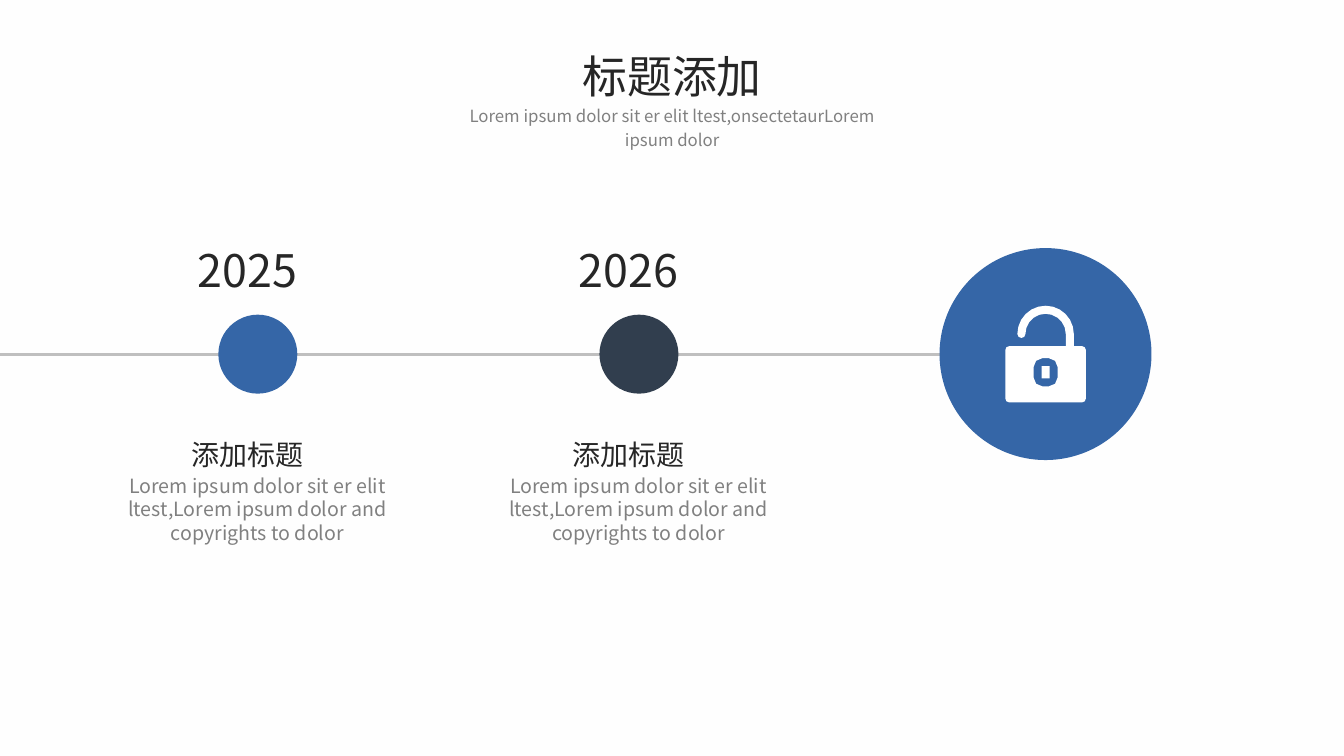
from math import cos, radians, sin

from lxml.etree import SubElement
from pptx import Presentation
from pptx.dml.color import RGBColor
from pptx.enum.shapes import MSO_CONNECTOR, MSO_SHAPE
from pptx.enum.text import MSO_ANCHOR, MSO_AUTO_SIZE, PP_ALIGN
from pptx.oxml.ns import qn
from pptx.util import Pt

FONT = "Noto Sans CJK SC"
MIST = RGBColor(0xF2, 0xF2, 0xF2)
WHITE = RGBColor(0xFF, 0xFF, 0xFF)
BLUE = RGBColor(0x35, 0x66, 0xA7)
NAVY = RGBColor(0x31, 0x3E, 0x4E)
RULE = RGBColor(0xBF, 0xBF, 0xBF)
INK = RGBColor(0x26, 0x26, 0x26)
GREY = RGBColor(0x80, 0x80, 0x80)

SLIDE_WIDTH, SLIDE_HEIGHT = 960, 540
AXIS_Y = 253
MILESTONE_LEFT = 65.5
MILESTONE_STEP = 272.2
MILESTONE_TEXT = "Lorem ipsum dolor sit er elit ltest,Lorem ipsum dolor and copyrights to dolor"
MILESTONES = [("2025", BLUE), ("2026", NAVY)]


def write(shape, text, size, color, align, leading=1.2):
    frame = shape.text_frame
    frame.word_wrap = True
    frame.auto_size = MSO_AUTO_SIZE.NONE
    frame.vertical_anchor = MSO_ANCHOR.TOP
    frame.margin_left = frame.margin_right = Pt(7.2)
    frame.margin_top = frame.margin_bottom = Pt(3.6)
    paragraph = frame.paragraphs[0]
    paragraph.alignment = align
    paragraph.line_spacing = Pt(size * leading)
    run = paragraph.add_run()
    run.text = text
    run.font.size = Pt(size)
    run.font.color.rgb = color
    run.font.name = FONT
    SubElement(run.font._element, qn("a:ea"), typeface=FONT)


def add_text(slide, box, *style):
    write(slide.shapes.add_textbox(*map(Pt, box)), *style)


def paint(shape, color):
    shape.shadow.inherit = False
    shape.fill.solid()
    shape.fill.fore_color.rgb = color
    shape.line.fill.background()


def set_opacity(element, percent):
    color = next(element.iter(qn("a:srgbClr")))
    SubElement(color, qn("a:alpha"), val=str(percent * 1000))


def add_backdrop(slide, left, top, width, height):
    # Pale background under a translucent white veil
    background = slide.background.fill
    background.solid()
    background.fore_color.rgb = MIST
    set_opacity(slide._element.cSld.bg, 70)
    veil = slide.shapes.add_shape(
        MSO_SHAPE.RECTANGLE, Pt(left), Pt(top), Pt(width), Pt(height))
    paint(veil, WHITE)
    set_opacity(veil._element.spPr, 90)


def add_disc(slide, left, top, size, color):
    disc = slide.shapes.add_shape(MSO_SHAPE.OVAL, Pt(left), Pt(top), Pt(size), Pt(size))
    paint(disc, color)


def add_header(slide, left, top, width):
    # Title, centred over the subtitle
    title = slide.shapes.title
    title_width = 160
    title.left, title.top = Pt(left + (width - title_width) / 2), Pt(top)
    title.width, title.height = Pt(title_width), Pt(46)
    write(title, "标题添加", 32, INK, PP_ALIGN.CENTER)
    # Bring the title in front of the veil
    slide.shapes._spTree.append(title._element)
    # Subtitle
    add_text(slide, (left, top + 38, width, 41),
             "Lorem ipsum dolor sit er elit ltest,onsectetaurLorem ipsum dolor",
             12, GREY, PP_ALIGN.CENTER, 1.43)


def add_axis(slide, left, y, width):
    axis = slide.shapes.add_connector(
        MSO_CONNECTOR.STRAIGHT, Pt(left), Pt(y), Pt(left + width), Pt(y))
    axis.line.color.rgb = RULE
    axis.line.width = Pt(2.25)
    SubElement(axis._element.spPr, qn("a:effectLst"))


def add_milestone(slide, left, top, width, year, color):
    # Year above its dot
    add_text(slide, (left + 68.6, top, 100, 46), year, 32, INK, PP_ALIGN.JUSTIFY)
    dot = 56.4
    add_disc(slide, left + 90.5, AXIS_Y - dot / 2, dot, color)
    # Heading and description below
    add_text(slide, (left + 64.4, top + 139, 108.7, 31.7), "添加标题", 20, INK, PP_ALIGN.JUSTIFY)
    add_text(slide, (left, top + 164.9, width, 58.3), MILESTONE_TEXT, 14, GREY, PP_ALIGN.CENTER)


def arc(x, y, radius, start, end, steps):
    angles = [radians(start + (end - start) * i / steps) for i in range(steps + 1)]
    return [(x + radius * cos(a), y + radius * sin(a)) for a in angles]


def rounded_box(left, top, right, bottom, radius):
    """Outline clockwise, starting at the top right corner."""
    west, east = left + radius, right - radius
    north, south = top + radius, bottom - radius
    corners = [(east, north), (east, south), (west, south), (west, north)]
    return [point for i, (x, y) in enumerate(corners)
            for point in arc(x, y, radius, 270 + 90 * i, 360 + 90 * i, 2)]


def add_padlock(slide, left, top, width, height):
    middle, shoulder, bar = width / 2, 20.16, 5.76
    outer = shoulder
    inner = outer - bar
    body_top = 28.8
    outline = (
        arc(middle, shoulder, outer, 180, 360, 12)
        + [(middle + outer, body_top)]
        + rounded_box(0, body_top, width, height, 2.9)
        + [(middle + inner, body_top)]
        + arc(middle, shoulder, inner, 360, 180, 10)
        + arc(middle - inner - bar / 2, shoulder, bar / 2, 0, 180, 4)
    )
    keyhole = rounded_box(middle - 8.64, 37.44, middle + 8.64, 57.6, 6.4)
    key_core = [(middle - 2.88, 43.2), (middle + 2.88, 43.2),
                (middle + 2.88, 51.84), (middle - 2.88, 51.84)]
    contours = [[(Pt(left + x), Pt(top + y)) for x, y in contour]
                for contour in (outline, keyhole[::-1], key_core)]
    builder = slide.shapes.build_freeform(*contours[0][0])
    builder.add_line_segments(contours[0][1:])
    for contour in contours[1:]:
        builder.move_to(*contour[0])
        builder.add_line_segments(contour[1:])
    paint(builder.convert_to_shape(), WHITE)


def add_goal(slide, left, top, size):
    add_disc(slide, left, top, size, BLUE)
    add_padlock(slide, left + 47, top + 41.2, 57.6, 69.1)


def main():
    deck = Presentation()
    deck.slide_width, deck.slide_height = Pt(SLIDE_WIDTH), Pt(SLIDE_HEIGHT)
    slide = deck.slides.add_slide(deck.slide_layouts[5])
    add_backdrop(slide, 0, 0, SLIDE_WIDTH, SLIDE_HEIGHT)

    # Timeline
    add_axis(slide, 0, AXIS_Y, 692)
    add_goal(slide, 671.1, 177.2, 151.4)
    for i, (year, color) in enumerate(MILESTONES):
        add_milestone(slide, MILESTONE_LEFT + i * MILESTONE_STEP, 169.9, 237, year, color)

    # Heading
    add_header(slide, 311, 31, 338.4)
    deck.save("out.pptx")


if __name__ == "__main__":
    main()
